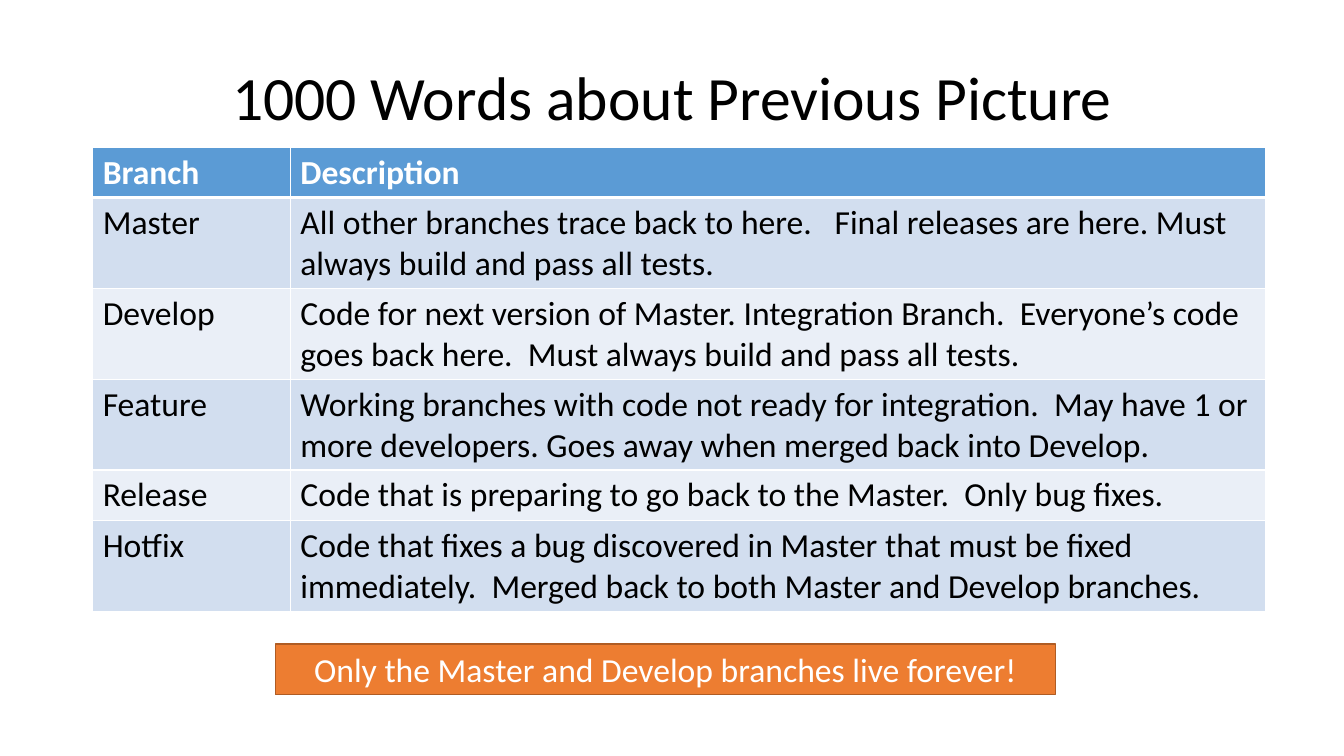
"""Build the slide that describes each branch of a Git workflow."""
from dataclasses import dataclass

from lxml import etree
from pptx import Presentation
from pptx import util as u
from pptx.dml.color import RGBColor
from pptx.enum import shapes, text
from pptx.oxml.ns import qn

SLIDE_W, SLIDE_H = u.Inches(13.33), u.Inches(7.5)
WHITE, BLACK = "FFFFFF", "000000"
HEADER_BLUE, BANDS = "5B9BD5", ("EAEFF7", "D2DEEF")
COLUMN_SHARES = (14.7, 72.54)
LINE_SHARE, MARGIN_SHARE = 5.33, 1.33


@dataclass(frozen=True)
class Area:
    """A rectangle in percent of the slide's width and height."""
    left: float
    top: float
    width: float
    height: float

    def box(self) -> tuple[int, int, int, int]:
        """Return the rectangle as slide lengths."""
        return across(self.left), down(self.top), across(self.width), down(self.height)


@dataclass(frozen=True)
class Branch:
    """A table row: branch name, its description and the lines it takes."""
    name: str
    description: str
    lines: int = 2


BRANCHES = (
    Branch("Branch", "Description", 1),
    Branch("Master", "All other branches trace back to here.   Final releases are here. "
           "Must always build and pass all tests."),
    Branch("Develop", "Code for next version of Master. Integration Branch.  Everyone’s code "
           "goes back here.  Must always build and pass all tests."),
    Branch("Feature", "Working branches with code not ready for integration.  May have 1 or "
           "more developers. Goes away when merged back into Develop."),
    Branch("Release", "Code that is preparing to go back to the Master.  Only bug fixes.", 1),
    Branch("Hotfix", "Code that fixes a bug discovered in Master that must be fixed "
           "immediately.  Merged back to both Master and Develop branches."),
)


def across(share: float) -> int:
    """Turn a percentage of the slide's width into a length."""
    return round(SLIDE_W * share / 100)


def down(share: float) -> int:
    """Turn a percentage of the slide's height into a length."""
    return round(SLIDE_H * share / 100)


def colour(value: str) -> RGBColor:
    """Turn a hex string into a colour."""
    return RGBColor.from_string(value)


def paint(fill, value: str) -> None:
    """Give a fill one solid colour."""
    fill.solid()
    fill.fore_color.rgb = colour(value)


def write(frame, words: str, ink: str, size: float = 24, bold: bool = False, **layout) -> None:
    """Write one paragraph with its font and paragraph format."""
    paragraph = frame.paragraphs[0]
    run = paragraph.add_run()
    run.text = words
    for name, value in {"name": "Calibri", "size": u.Pt(size), "bold": bold}.items():
        setattr(run.font, name, value)
    run.font.color.rgb = colour(ink)
    for name, value in layout.items():
        setattr(paragraph, name, value)


def add_borders(cell, is_header: bool) -> None:
    """Draw white cell borders, with a thick line under the header."""
    properties = cell._tc.get_or_add_tcPr()
    widths = {"lnL": 1, "lnR": 1, "lnT": 1, "lnB": 3 if is_header else 1}
    for position, (side, width) in enumerate(widths.items()):
        line = etree.Element(qn(f"a:{side}"), w=str(u.Pt(width)))
        fill = etree.SubElement(line, qn("a:solidFill"))
        etree.SubElement(fill, qn("a:srgbClr"), val=WHITE)
        properties.insert(position, line)


def add_title(slide, area: Area, words: str) -> None:
    """Add the centred title."""
    frame = slide.shapes.add_textbox(*area.box()).text_frame
    frame.word_wrap = True
    frame.vertical_anchor = text.MSO_ANCHOR.MIDDLE
    write(frame, words, BLACK, 44, alignment=text.PP_ALIGN.CENTER, line_spacing=0.9)


def add_branch_table(slide, area: Area) -> None:
    """Add the table of branches with a header and banded rows."""
    table = slide.shapes.add_table(len(BRANCHES), len(COLUMN_SHARES), *area.box()).table
    for column, share in zip(table.columns, COLUMN_SHARES):
        column.width = across(share)
    for index, branch in enumerate(BRANCHES):
        is_header = index == 0
        table.rows[index].height = down(MARGIN_SHARE + branch.lines * LINE_SHARE)
        for cell, words in zip(table.rows[index].cells, (branch.name, branch.description)):
            paint(cell.fill, HEADER_BLUE if is_header else BANDS[index % 2])
            add_borders(cell, is_header)
            write(cell.text_frame, words, WHITE if is_header else BLACK, bold=is_header)


def add_reminder(slide, area: Area, words: str) -> None:
    """Add the orange reminder bar."""
    reminder = slide.shapes.add_shape(shapes.MSO_SHAPE.RECTANGLE, *area.box())
    reminder.shadow.inherit = False
    paint(reminder.fill, "ED7D31")
    paint(reminder.line.fill, "AF5C24")
    reminder.line.width = u.Pt(1)
    frame = reminder.text_frame
    frame.word_wrap = True
    frame.auto_size = text.MSO_AUTO_SIZE.SHAPE_TO_FIT_TEXT
    frame.vertical_anchor = text.MSO_ANCHOR.TOP
    write(frame, words, WHITE, alignment=text.PP_ALIGN.CENTER)


def main() -> None:
    """Build and save the slide."""
    deck = Presentation()
    deck.slide_width, deck.slide_height = SLIDE_W, SLIDE_H
    slide = deck.slides.add_slide(deck.slide_layouts[6])
    add_title(slide, Area(6.9, 3.6, 86.27, 19.33), "1000 Words about Previous Picture")
    add_branch_table(slide, Area(6.9, 19.47, sum(COLUMN_SHARES), 61.33))
    add_reminder(slide, Area(20.48, 85.2, 58.06, 6.67),
                 "Only the Master and Develop branches live forever!")
    deck.save("out.pptx")


if __name__ == "__main__":
    main()
